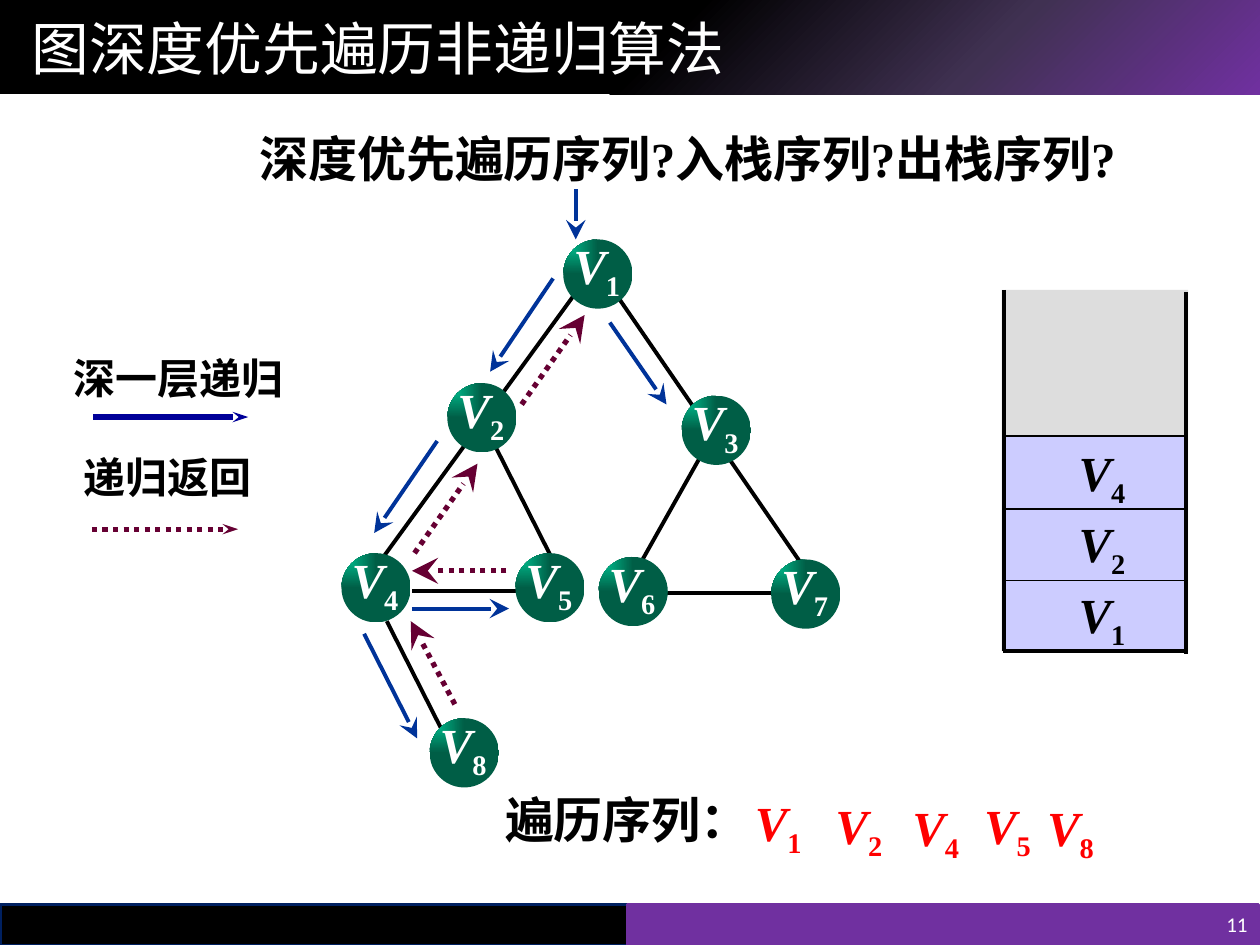
from dataclasses import dataclass
from lxml.etree import SubElement
from pptx import Presentation
from pptx.dml.color import RGBColor
from pptx.enum.dml import MSO_LINE_DASH_STYLE as Dash
from pptx.enum.shapes import MSO_CONNECTOR as Connector, MSO_SHAPE as Shape
from pptx.enum.text import MSO_ANCHOR as Anchor, PP_ALIGN as Align
from pptx.oxml.ns import qn
from pptx.util import Inches, Pt


@dataclass(frozen=True)
class Theme:
    black: str = "000000"
    white: str = "FFFFFF"
    purple: str = "7030A0"
    navy: str = "002060"
    descend: str = "003399"
    legend: str = "000099"
    back: str = "660033"
    red: str = "FF0000"
    stack: str = "DDDDDD"
    cell: str = "CCCCFF"
    header_stops: tuple = ((0, "7030A0"), (23, "403152"), (48, "000000"), (100, "000000"))
    node_stops: tuple = ((0, "00CC99"), (100, "005E46"))
    serif: str = "Times New Roman"
    sans: str = "Calibri"
    arial: str = "Arial"
    title: float = 33
    body: float = 28
    small: float = 24
    number: float = 12
    thin: float = 0.75
    edge: float = 2.25
    thick: float = 3


THEME = Theme()
NODE = 0.55
NODES = {1: (4.47, 1.9), 2: (3.55, 3.04), 3: (5.41, 3.14), 4: (2.71, 4.39),
         5: (4.09, 4.39), 6: (4.75, 4.42), 7: (6.12, 4.44), 8: (3.41, 5.7)}
EDGES = [(4.1, 4.69, 3.27, 4.69), (4.92, 2.38, 6.35, 4.46), (4.55, 2.35, 3.05, 4.41),
         (3.94, 3.56, 4.37, 4.41), (5.55, 3.64, 5.1, 4.44), (6.12, 4.71, 5.28, 4.71),
         (3.07, 4.93, 3.5, 5.78)]
DESCENTS = [(4.57, 1.5, 4.57, 1.9), (4.39, 2.21, 3.89, 2.95), (3.47, 3.5, 2.97, 4.23),
            (3.27, 4.83, 4.04, 4.83), (2.89, 5.03, 3.31, 5.86), (4.84, 2.56, 5.29, 3.21)]
RETURNS = [(4.02, 4.53, 3.27, 4.53), (3.61, 5.59, 3.26, 4.93),
           (3.29, 4.39, 3.79, 3.68), (4.14, 3.21, 4.64, 2.5)]
STACK = [1, 2, 4]
STACK_WALLS = [(7.97, 2.3, 7.97, 5.17), (9.41, 2.32, 9.41, 5.19), (7.96, 5.17, 9.41, 5.17)]
VISITED = [(1, 5.97, 6.28), (2, 6.61, 6.3), (4, 7.22, 6.32), (5, 7.79, 6.3), (8, 8.29, 6.32)]
FULL_INSETS = (0.1, 0.05, 0.1, 0.05)
SLIM_INSETS = (0.02, 0.01, 0.02, 0.01)


def color(value):
    """Turn a hex string into a colour."""
    return RGBColor.from_string(value)


def add_block(page, at, fill, kind=Shape.RECTANGLE, line=None, width=2):
    """Add a filled preset shape; a tuple of stops leaves the fill for a gradient."""
    shape = page.shapes.add_shape(kind, *map(Inches, at))
    shape.shadow.inherit = False
    shape.fill.solid()
    shape.fill.fore_color.rgb = color(fill)
    if line:
        shape.line.color.rgb = color(line)
        shape.line.width = Pt(width)
    else:
        shape.line.fill.background()
    return shape


def shade(shape, stops, path_kind, focus):
    """Replace a solid fill with a gradient that spreads from a corner."""
    solid = shape.fill._xPr.find(qn("a:solidFill"))
    grad = solid.makeelement(qn("a:gradFill"), {"rotWithShape": "1"})
    stop_list = SubElement(grad, qn("a:gsLst"))
    for position, value in stops:
        stop = SubElement(stop_list, qn("a:gs"), pos=str(position * 1000))
        SubElement(stop, qn("a:srgbClr"), val=value)
    spread = SubElement(grad, qn("a:path"), path=path_kind)
    SubElement(spread, qn("a:fillToRect"), {side: "100000" for side in focus})
    solid.getparent().replace(solid, grad)


def add_line(page, ends, ink, width, dotted=False, head=None):
    """Add a straight line with an optional stealth head of (width, length)."""
    line = page.shapes.add_connector(Connector.STRAIGHT, *map(Inches, ends))
    line.line.color.rgb = color(ink)
    line.line.width = Pt(width)
    if dotted:
        line.line.dash_style = Dash.ROUND_DOT
    if head:
        SubElement(line.line._get_or_add_ln(), qn("a:tailEnd"),
                   type="stealth", w=head[0], len=head[1])
    SubElement(line._element.spPr, qn("a:effectLst"))


def set_frame(box, insets, anchor=Anchor.TOP):
    """Set wrapping, insets and anchor, and return the first paragraph."""
    frame = box.text_frame
    frame.word_wrap = True
    frame.vertical_anchor = anchor
    frame.margin_left, frame.margin_top, frame.margin_right, frame.margin_bottom = map(Inches, insets)
    return frame.paragraphs[0]


def add_text(page, at, text, size, ink=THEME.black, face=THEME.serif, bold=True,
             insets=FULL_INSETS, anchor=Anchor.TOP, align=Align.LEFT):
    """Add a text box with one style."""
    para = set_frame(page.shapes.add_textbox(*map(Inches, at)), insets, anchor)
    para.text = text
    para.alignment = align
    font = para.runs[0].font
    font.name, font.size, font.bold = face, Pt(size), bold
    font.color.rgb = color(ink)


def write_vertex(box, number, ink, insets):
    """Write an italic V with its number as a subscript."""
    para = set_frame(box, insets)
    para.alignment = Align.LEFT
    for text in ("V", str(number)):
        span = para.add_run()
        span.text = text
        font = span.font
        font.name, font.size, font.bold = THEME.serif, Pt(THEME.body), True
        font.italic = text == "V"
        font.color.rgb = color(ink)
    span.font._element.set("baseline", "-25000")


def add_frame(page):
    """Add the header, footer, title and page number."""
    header = add_block(page, (0, 0, 10, 0.75), THEME.black)
    shade(header, THEME.header_stops, "circle", "lt")
    add_block(page, (0, 7.18, 5.01, 0.33), THEME.black, line=THEME.navy)
    add_block(page, (4.98, 7.18, 5.01, 0.33), THEME.purple, line=THEME.purple)
    add_text(page, (0, 0, 9.75, 0.75), "图深度优先遍历非递归算法", THEME.title, THEME.white,
             THEME.sans, False, (0.25, 0.05, 0.1, 0.05), Anchor.MIDDLE)
    add_text(page, (8.75, 7.17, 1.25, 0.33), "11", THEME.number, THEME.white,
             THEME.sans, False, FULL_INSETS, Anchor.MIDDLE, Align.RIGHT)


def add_graph(page):
    """Add the graph with its edges, nodes and traversal arrows."""
    for ends in EDGES:
        add_line(page, ends, THEME.black, THEME.edge)
    for number, (left, top) in NODES.items():
        node = add_block(page, (left, top, NODE, NODE), THEME.black, Shape.OVAL)
        shade(node, THEME.node_stops, "rect", "rb")
        label = page.shapes.add_textbox(*map(Inches, (left + 0.07, top - 0.06, 0.51, 0.65)))
        write_vertex(label, number, THEME.white, (0.01, 0.03, 0, 0.01))
    for ends in DESCENTS:
        add_line(page, ends, THEME.descend, THEME.edge, head=("lg", "lg"))
    for ends in RETURNS:
        add_line(page, ends, THEME.back, THEME.thick, True, ("lg", "lg"))


def add_legend(page):
    """Add the key to the two kinds of arrow."""
    add_text(page, (0.56, 2.79, 1.75, 0.54), "深一层递归", THEME.small, insets=SLIM_INSETS)
    add_line(page, (0.74, 3.31, 1.97, 3.31), THEME.legend, THEME.thick, head=("sm", "med"))
    add_text(page, (0.64, 3.57, 1.67, 0.53), "递归返回", THEME.small, insets=SLIM_INSETS)
    add_line(page, (0.73, 4.2, 1.89, 4.2), THEME.back, THEME.thick, True, ("sm", "med"))


def add_stack(page):
    """Add the stack, filled from the bottom up."""
    add_block(page, (7.95, 2.3, 1.48, 2.87), THEME.stack)
    for level, number in enumerate(STACK):
        cell = add_block(page, (7.97, 4.59 - level * 0.565, 1.43, 0.58), THEME.cell,
                         line=THEME.black, width=THEME.thin)
        write_vertex(cell, number, THEME.black, (0.59, 0.05, 0.1, 0.05))
    for ends in STACK_WALLS:
        add_line(page, ends, THEME.black, THEME.edge)


def main():
    """Build the depth-first traversal slide."""
    deck = Presentation()
    deck.slide_width, deck.slide_height = Inches(10), Inches(7.5)
    page = deck.slides.add_slide(deck.slide_layouts[6])
    add_frame(page)
    add_text(page, (1.96, 0.97, 7.45, 0.57), "深度优先遍历序列?入栈序列?出栈序列?", THEME.body)
    add_legend(page)
    add_graph(page)
    add_stack(page)
    add_text(page, (3.91, 6.22, 2.38, 0.57), "遍历序列：", THEME.body, face=THEME.arial)
    for number, left, top in VISITED:
        box = page.shapes.add_textbox(*map(Inches, (left, top, 0.62, 0.49)))
        write_vertex(box, number, THEME.red, SLIM_INSETS)
    deck.save("out.pptx")


if __name__ == "__main__":
    main()
